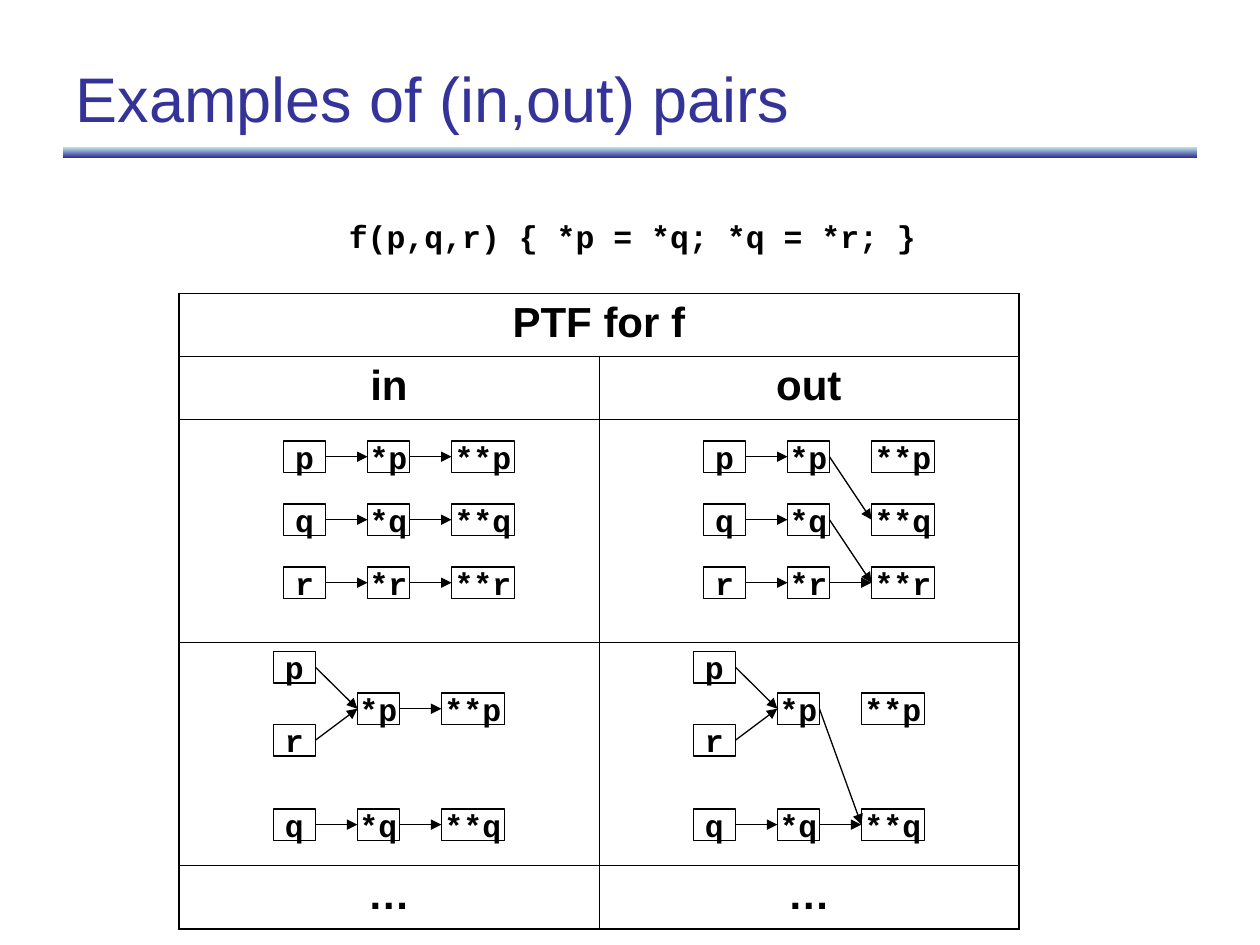
from itertools import pairwise

from lxml import etree
from pptx import Presentation
from pptx.dml.color import RGBColor
from pptx.enum.shapes import MSO_CONNECTOR, MSO_SHAPE
from pptx.enum.text import MSO_ANCHOR, MSO_AUTO_SIZE, PP_ALIGN
from pptx.oxml.ns import qn
from pptx.util import Inches, Pt

RECTANGLE = MSO_SHAPE.RECTANGLE
STRAIGHT = MSO_CONNECTOR.STRAIGHT
LEFT = PP_ALIGN.LEFT
CENTER = PP_ALIGN.CENTER
MIDDLE = MSO_ANCHOR.MIDDLE
GROW = MSO_AUTO_SIZE.SHAPE_TO_FIT_TEXT

LEFT_SIDE, RIGHT_SIDE = 1, 3
COLUMN_WIDTH = 10 / 3
LEVEL_STEP = 2 / 3
NODE_WIDTHS = [1 / 3, 1 / 3, 0.5]
NODE_HEIGHT = 0.25

TABLE_ROWS = [
    (0.5, ["PTF for f", ""]),
    (0.5, ["in", "out"]),
    (1.77, ["", ""]),
    (1.77, ["", ""]),
    (0.5, ["…", "…"]),
]

SEPARATE_TOPS = {
    stars + name: top
    for name, top in [("p", 3.5), ("q", 4), ("r", 4.5)]
    for stars in ["", "*", "**"]
}
SHARED_TOPS = {
    "p": 5.17, "*p": 5.5, "**p": 5.5,
    "r": 5.75,
    "q": 6.42, "*q": 6.42, "**q": 6.42,
}
DIAGRAMS = [
    (2.25, SEPARATE_TOPS, ["p *p **p", "q *q **q", "r *r **r"]),
    (2.25 + COLUMN_WIDTH, SEPARATE_TOPS, ["p *p **q", "q *q **r", "r *r **r"]),
    (2.17, SHARED_TOPS, ["p *p **p", "r *p", "q *q **q"]),
    (2.17 + COLUMN_WIDTH, SHARED_TOPS, ["p *p **q", "r *p", "q *q **q"]),
]


def color(value):
    return RGBColor.from_string(value)


def write(frame, text, font="Arial", size=18, ink="000000", bold=True,
          align=LEFT, before=0):
    para = frame.paragraphs[0]
    para.alignment = align
    para.space_before = Pt(before)
    span = para.add_run()
    span.text = text
    span.font.name = font
    span.font.size = Pt(size)
    span.font.bold = bold
    span.font.color.rgb = color(ink)


class PairSlide:
    ink = "000000"
    accent = "333399"
    pale = "BBE0E3"
    code_font = "Courier New"
    line_width = 0.75
    inner_border = 0.45
    outer_border = 1.08

    def __init__(self, deck):
        self.page = deck.slides.add_slide(deck.slide_layouts[5])

    def title(self, text, left, top, width, height):
        box = self.page.shapes.title
        box.left, box.top = Inches(left), Inches(top)
        box.width, box.height = Inches(width), Inches(height)
        box.text_frame.vertical_anchor = MIDDLE
        write(box.text_frame, text, size=36, ink=self.accent, bold=False)

    def gradient_bar(self, left, top, width, height):
        bar = self.page.shapes.add_shape(
            RECTANGLE, Inches(left), Inches(top), Inches(width), Inches(height))
        bar.shadow.inherit = False
        bar.line.fill.background()
        bar.fill.gradient()
        bar.fill.gradient_angle = 270
        for stop, position, shade in zip(
                bar.fill.gradient_stops, [0, 1], [self.pale, self.accent]):
            stop.position = position
            stop.color.rgb = color(shade)

    def code(self, text, left, top, width, height):
        box = self.page.shapes.add_textbox(
            Inches(left), Inches(top), Inches(width), Inches(height))
        box.text_frame.word_wrap = True
        box.text_frame.auto_size = GROW
        write(box.text_frame, text, font=self.code_font)

    def border(self, cell, side, width):
        line = etree.SubElement(
            cell._tc.get_or_add_tcPr(), qn(f"a:ln{side}"), w=str(Pt(width)))
        fill = etree.SubElement(line, qn("a:solidFill"))
        etree.SubElement(fill, qn("a:srgbClr"), val=self.ink)

    def table(self, rows, left, top):
        height = sum(row_height for row_height, _ in rows)
        table = self.page.shapes.add_table(
            len(rows), 2, Inches(left), Inches(top),
            Inches(2 * COLUMN_WIDTH), Inches(height)).table
        table.first_row = table.horz_banding = False
        last = len(rows) - 1
        for row, (row_height, texts) in enumerate(rows):
            table.rows[row].height = Inches(row_height)
            for column, text in enumerate(texts):
                cell = table.cell(row, column)
                edges = {"L": column == 0, "R": column == 1 or row == 0,
                         "T": row == 0, "B": row == last}
                for side, outer in edges.items():
                    self.border(cell, side,
                                self.outer_border if outer else self.inner_border)
                cell.fill.background()
                if text:
                    write(cell.text_frame, text, size=24, align=CENTER, before=6)
        table.cell(0, 0).merge(table.cell(0, 1))

    def node(self, group, label, left, top):
        level = label.count("*")
        box = group.shapes.add_shape(
            RECTANGLE, Inches(left + level * LEVEL_STEP), Inches(top),
            Inches(NODE_WIDTHS[level]), Inches(NODE_HEIGHT))
        box.shadow.inherit = False
        box.fill.background()
        box.line.color.rgb = color(self.ink)
        box.line.width = Pt(self.line_width)
        box.text_frame.word_wrap = False
        box.text_frame.vertical_anchor = MIDDLE
        write(box.text_frame, label, font=self.code_font, align=CENTER)
        return box

    def arrow(self, group, source, target):
        arrow = group.shapes.add_connector(
            STRAIGHT, source.left + source.width, source.top + source.height // 2,
            target.left, target.top + target.height // 2)
        arrow.begin_connect(source, RIGHT_SIDE)
        arrow.end_connect(target, LEFT_SIDE)
        arrow.line.color.rgb = color(self.ink)
        arrow.line.width = Pt(self.line_width)
        etree.SubElement(arrow.line._get_or_add_ln(), qn("a:tailEnd"), type="triangle")
        etree.SubElement(arrow._element.spPr, qn("a:effectLst"))

    def diagram(self, left, tops, chains):
        group = self.page.shapes.add_group_shape()
        nodes = {label: self.node(group, label, left, top)
                 for label, top in tops.items()}
        for chain in chains:
            for source, target in pairwise(chain.split()):
                self.arrow(group, nodes[source], nodes[target])


def main():
    deck = Presentation()
    deck.slide_width, deck.slide_height = Inches(10), Inches(7.5)
    slide = PairSlide(deck)
    slide.gradient_bar(0.5, 1.17, 9, 0.08)
    slide.title("Examples of (in,out) pairs", 0.5, 0.3, 9, 0.95)
    slide.code("f(p,q,r) { *p = *q; *q = *r; }", 2.67, 1.67, 5.25, 0.4)
    slide.table(TABLE_ROWS, 1.42, 2.33)
    for left, tops, chains in DIAGRAMS:
        slide.diagram(left, tops, chains)
    deck.save("out.pptx")


if __name__ == "__main__":
    main()
